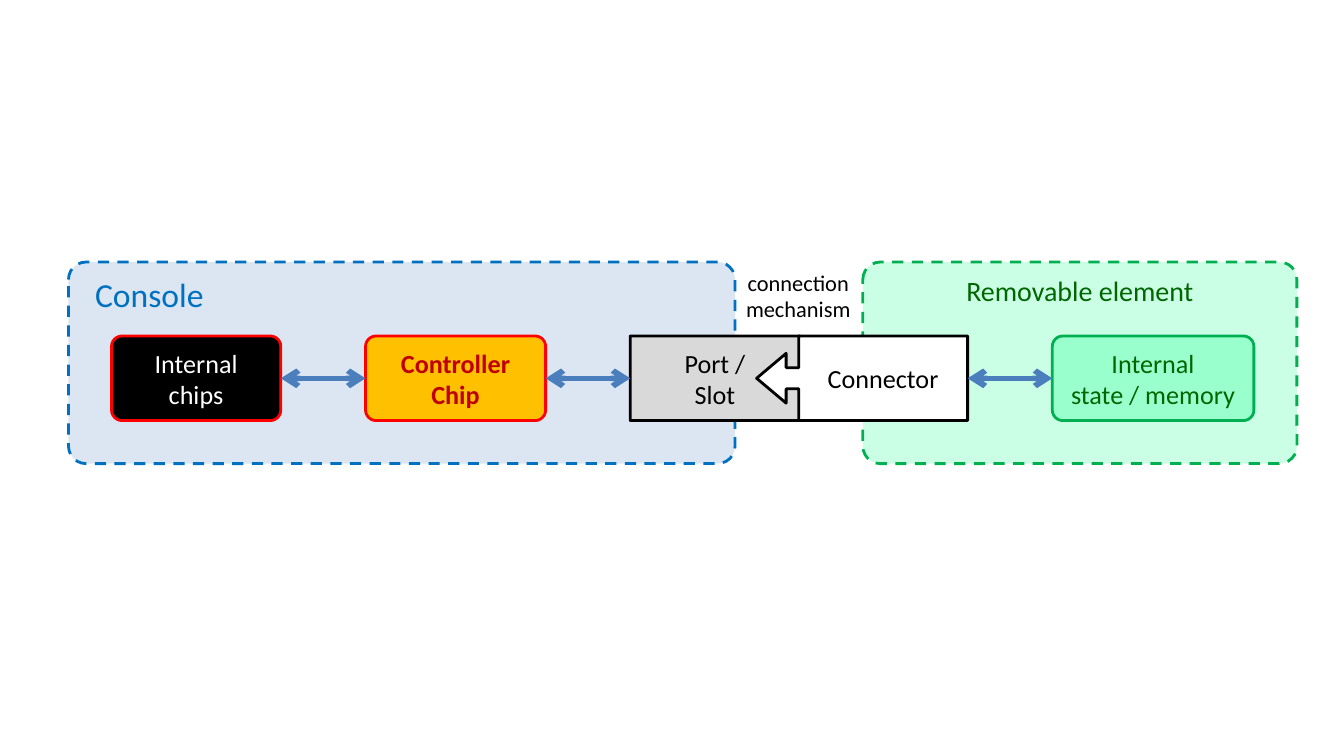
from pptx import Presentation
from pptx.dml.color import RGBColor
from pptx.enum.dml import MSO_LINE
from pptx.enum.shapes import MSO_CONNECTOR, MSO_SHAPE
from pptx.enum.text import MSO_ANCHOR, MSO_AUTO_SIZE, PP_ALIGN
from pptx.oxml.ns import qn
from pptx.util import Inches, Pt
from lxml import etree

WHITE = RGBColor(0xFF, 0xFF, 0xFF)
BLACK = RGBColor(0x00, 0x00, 0x00)
RED = RGBColor(0xFF, 0x00, 0x00)
DARK_RED = RGBColor(0xC0, 0x00, 0x00)
AMBER = RGBColor(0xFF, 0xC0, 0x00)
GREY = RGBColor(0xD9, 0xD9, 0xD9)
BLUE = RGBColor(0x00, 0x70, 0xC0)
PALE_BLUE = RGBColor(0xDC, 0xE6, 0xF2)
ARROW_BLUE = RGBColor(0x4B, 0x7E, 0xBC)
GREEN = RGBColor(0x00, 0xB0, 0x50)
DARK_GREEN = RGBColor(0x00, 0x66, 0x00)
MINT = RGBColor(0x99, 0xFF, 0xCC)

PANEL_HEIGHT = 1.5
BLOCK_TOP = 0.55
BLOCK_HEIGHT = 0.63
GAP = 0.63


def write(shape, paragraphs, size, color, bold=False, align=PP_ALIGN.CENTER):
    frame = shape.text_frame
    frame.word_wrap = True
    for index, lines in enumerate(paragraphs):
        para = frame.paragraphs[0] if index == 0 else frame.add_paragraph()
        para.alignment = align
        for number, line in enumerate(lines.split("\n")):
            if number:
                para.add_line_break()
            span = para.add_run()
            span.text = line
            span.font.name = "Calibri"
            span.font.size = Pt(size)
            span.font.bold = bold
            span.font.color.rgb = color


def add_block(page, kind, box, adjustments, fill, line):
    shape = page.shapes.add_shape(kind, *[Inches(value) for value in box])
    for index, value in enumerate(adjustments):
        shape.adjustments[index] = value
    shape.shadow.inherit = False
    shape.fill.solid()
    shape.fill.fore_color.rgb = fill
    shape.line.color.rgb = line
    shape.line.width = Pt(1.5)
    shape.text_frame.vertical_anchor = MSO_ANCHOR.MIDDLE
    return shape


def add_panel(page, box, fill, line):
    panel = add_block(page, MSO_SHAPE.ROUNDED_RECTANGLE, box, [0.087], fill, line)
    panel.line.dash_style = MSO_LINE.DASH
    panel.text_frame.vertical_anchor = MSO_ANCHOR.TOP
    return panel


def add_chip(page, left, top, width, text, fill, line, color, bold=False):
    box = (left, top, width, BLOCK_HEIGHT)
    chip = add_block(page, MSO_SHAPE.ROUNDED_RECTANGLE, box, [0.125], fill, line)
    write(chip, [text], 14, color, bold)
    return chip


def add_link(page, start, end):
    link = page.shapes.add_connector(MSO_CONNECTOR.STRAIGHT, 0, 0, 0, 0)
    link.begin_connect(start, 3)
    link.end_connect(end, 1)
    link.line.color.rgb = ARROW_BLUE
    link.line.width = Pt(3)
    properties = link._element.spPr
    outline = properties.find(qn("a:ln"))
    for tag in ("a:headEnd", "a:tailEnd"):
        etree.SubElement(outline, qn(tag), type="arrow")
    etree.SubElement(properties, qn("a:effectLst"))


def add_console(page, left, top, width):
    panel = add_panel(page, (left, top, width, PANEL_HEIGHT), PALE_BLUE, BLUE)
    panel.text_frame.margin_left = Inches(0.16)
    write(panel, ["Console"], 18, BLUE, align=PP_ALIGN.LEFT)
    row = top + BLOCK_TOP
    chips = add_chip(page, left + 0.32, row, 1.26, "Internal chips", BLACK, RED, WHITE)
    controller = add_chip(page, left + 1.58 + GAP, row, 1.34, "Controller Chip",
                          AMBER, RED, DARK_RED, True)
    add_link(page, chips, controller)
    return controller


def add_removable_element(page, left, top, width):
    panel = add_panel(page, (left, top, width, PANEL_HEIGHT), MINT, GREEN)
    color = panel._element.spPr.find(qn("a:solidFill"))[0]
    etree.SubElement(color, qn("a:alpha"), val="50000")
    write(panel, ["Removable element"], 15, DARK_GREEN)
    return add_chip(page, left + 1.41, top + BLOCK_TOP, 1.5,
                    "Internal\nstate / memory", MINT, GREEN, DARK_GREEN)


def add_connection(page, left, top):
    label = page.shapes.add_textbox(Inches(left + 0.7), Inches(top), Inches(1.1), Inches(0.5))
    write(label, ["connection mechanism"], 12, BLACK)
    label.text_frame.auto_size = MSO_AUTO_SIZE.SHAPE_TO_FIT_TEXT
    row = top + BLOCK_TOP
    port = add_block(page, MSO_SHAPE.ROUNDED_RECTANGLE, (left, row, 1.26, BLOCK_HEIGHT),
                     [0.004], GREY, BLACK)
    write(port, ["Port /", "Slot"], 14, BLACK)
    plug = add_block(page, MSO_SHAPE.LEFT_ARROW_CALLOUT, (left + 0.94, row, 1.57, BLOCK_HEIGHT),
                     [0.25, 0.294, 0.349, 0.8], WHITE, BLACK)
    write(plug, ["Connector"], 14, BLACK)
    return port, plug


def main():
    deck = Presentation()
    deck.slide_width = Inches(10)
    deck.slide_height = deck.slide_width * 9 // 16
    page = deck.slides.add_slide(deck.slide_layouts[6])
    top = 1.95
    controller = add_console(page, 0.51, top, 4.96)
    memory = add_removable_element(page, 6.42, top, 3.23)
    port, plug = add_connection(page, 4.69, top)
    add_link(page, controller, port)
    add_link(page, plug, memory)
    deck.save("out.pptx")


if __name__ == "__main__":
    main()
